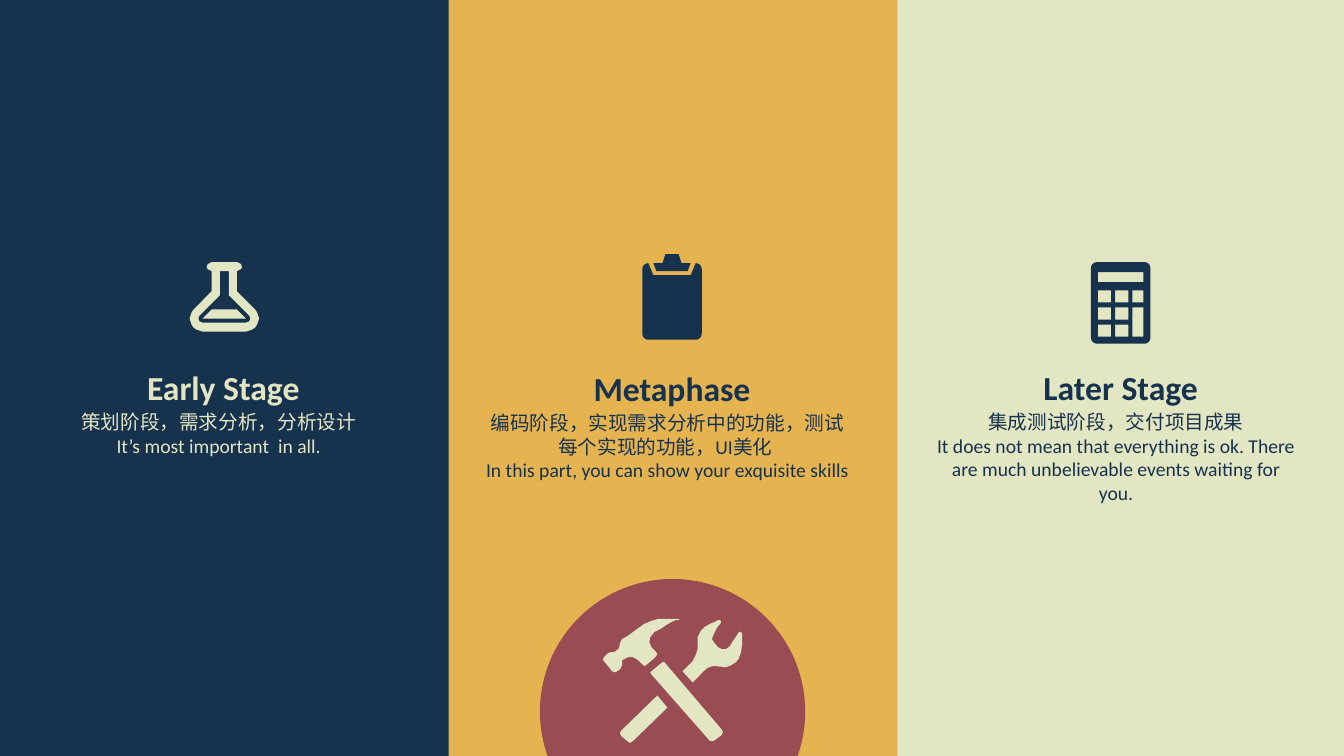
import math
from dataclasses import dataclass

import pptx
import pptx.dml.color
import pptx.enum.shapes
import pptx.enum.text
import pptx.util

Inches = pptx.util.Inches
SHAPES = pptx.enum.shapes.MSO_SHAPE


@dataclass(frozen=True)
class Theme:
    navy: str = "17324D"
    gold: str = "E5B350"
    cream: str = "E2E6C3"
    wine: str = "994C52"
    font: str = "Calibri"
    title_size: int = 24
    body_size: int = 14
    outline: float = 2.25


THEME = Theme()
PANEL_WIDTH = 4.45

WRENCH_HANDLE = [
    (6.52, 6.9), (6.62, 7.02), (6.28, 7.35), (6.25, 7.37), (6.23, 7.36),
    (6.16, 7.3), (6.15, 7.27), (6.16, 7.25),
]
HAMMER_HANDLE = [
    (6.57, 6.57), (6.59, 6.57), (7.16, 7.24), (7.17, 7.26), (7.16, 7.29),
    (7.08, 7.35), (7.04, 7.35), (6.46, 6.69), (6.45, 6.67), (6.46, 6.66),
]
WRENCH_HEAD = [
    (7.13, 6.15), (7.15, 6.16), (7.15, 6.18), (7.11, 6.23), (7.08, 6.29),
    (7.06, 6.34), (7.08, 6.37), (7.12, 6.42), (7.16, 6.44), (7.2, 6.44),
    (7.24, 6.41), (7.27, 6.36), (7.31, 6.3), (7.33, 6.27), (7.35, 6.27),
    (7.36, 6.29), (7.36, 6.4), (7.35, 6.47), (7.33, 6.53), (7.3, 6.57),
    (7.25, 6.6), (7.2, 6.62), (7.11, 6.61), (7.06, 6.61), (7.01, 6.63),
    (6.98, 6.66), (6.87, 6.77), (6.77, 6.66), (6.87, 6.56), (6.9, 6.5),
    (6.92, 6.44), (6.92, 6.32), (6.95, 6.26), (6.99, 6.22), (7.04, 6.19),
    (7.09, 6.17),
]
HAMMER_HEAD = [
    (6.56, 6.14), (6.73, 6.14), (6.74, 6.15), (6.71, 6.15), (6.66, 6.17),
    (6.61, 6.2), (6.55, 6.24), (6.49, 6.27), (6.45, 6.32), (6.44, 6.37),
    (6.46, 6.42), (6.5, 6.46), (6.52, 6.49), (6.5, 6.52), (6.42, 6.59),
    (6.39, 6.61), (6.33, 6.55), (6.28, 6.52), (6.23, 6.52), (6.19, 6.54),
    (6.17, 6.55), (6.17, 6.6), (6.15, 6.64), (6.12, 6.66), (6.1, 6.67),
    (6.07, 6.66), (6.04, 6.62), (5.99, 6.56), (5.98, 6.54), (5.99, 6.52),
    (6.03, 6.48), (6.06, 6.47), (6.09, 6.47), (6.12, 6.45), (6.14, 6.43),
    (6.15, 6.38), (6.17, 6.34), (6.21, 6.32), (6.32, 6.24), (6.39, 6.19),
    (6.46, 6.16), (6.53, 6.14),
]


def rgb(color):
    return pptx.dml.color.RGBColor.from_string(color)


def paint(shape, color):
    shape.shadow.inherit = False
    shape.fill.solid()
    shape.fill.fore_color.rgb = rgb(color)
    shape.line.fill.background()


def add_preset(shapes, kind, box, color):
    shape = shapes.add_shape(kind, *map(Inches, box))
    paint(shape, color)
    return shape


def add_outline(shapes, contours, color):
    builder = None
    for contour in contours:
        points = [(Inches(x), Inches(y)) for x, y in contour]
        if builder is None:
            builder = shapes.build_freeform(*points[0], scale=1.0)
        else:
            builder.move_to(*points[0])
        builder.add_line_segments(points[1:], close=True)
    paint(builder.convert_to_shape(), color)


def add_text(shapes, box, lines, color, size, bold=False):
    frame = shapes.add_textbox(*map(Inches, box)).text_frame
    frame.word_wrap = True
    frame.auto_size = pptx.enum.text.MSO_AUTO_SIZE.SHAPE_TO_FIT_TEXT
    font_format = {"name": THEME.font, "size": pptx.util.Pt(size), "bold": bold}
    for index, line in enumerate(lines):
        paragraph = frame.add_paragraph() if index else frame.paragraphs[0]
        paragraph.alignment = pptx.enum.text.PP_ALIGN.CENTER
        run = paragraph.add_run()
        run.text = line
        for name, value in font_format.items():
            setattr(run.font, name, value)
        run.font.color.rgb = rgb(color)


def rectangle(left, top, width, height):
    right, bottom = left + width, top + height
    return [(left, top), (left, bottom), (right, bottom), (right, top)]


def corner(x, y, start, radius=0.06):
    angles = [math.radians(start + step * 22.5) for step in range(5)]
    return [(x + radius * math.cos(a), y + radius * math.sin(a)) for a in angles]


def rounded(left, top, right, bottom, radius=0.06):
    return (
        corner(right - radius, top + radius, 270)
        + corner(right - radius, bottom - radius, 0)
        + corner(left + radius, bottom - radius, 90)
        + corner(left + radius, top + radius, 180)
    )


def mirrored(right_half, axis):
    return right_half + [(2 * axis - x, y) for x, y in reversed(right_half)]


def flask():
    liquid = [(2.35, 3.07), (2.44, 3.16)]
    inside = [
        (2.27, 2.69), (2.27, 2.93), (2.47, 3.13), (2.48, 3.15), (2.48, 3.17),
        (2.47, 3.19), (2.44, 3.2),
    ]
    glass = [
        (2.35, 2.6), (2.37, 2.61), (2.39, 2.62), (2.4, 2.65), (2.39, 2.67),
        (2.37, 2.68), (2.35, 2.69), (2.35, 2.89), (2.53, 3.07), (2.55, 3.1),
        (2.56, 3.13), (2.57, 3.16), (2.56, 3.19), (2.55, 3.22), (2.53, 3.25),
        (2.5, 3.27), (2.47, 3.28), (2.44, 3.29),
    ]
    return [mirrored(half, 2.225) for half in (liquid, inside, glass)]


def clipboard():
    notch = [(6.43, 2.61), (6.48, 2.73), (6.85, 2.73), (6.9, 2.61)]
    clip = [(6.73, 2.52), (6.76, 2.61), (6.85, 2.61), (6.82, 2.69)]
    return [notch + rounded(6.37, 2.61, 6.96, 3.37), mirrored(clip, 6.665)]


def calculator():
    left, top, pitch = 10.89, 2.88, 0.17
    keys = [
        rectangle(left + column * pitch, top + row * pitch, 0.13, 0.12)
        for row in range(3)
        for column in range(2)
    ]
    last_column = left + 2 * pitch
    return keys + [
        rectangle(last_column, top, 0.11, 0.12),
        rectangle(last_column, top + pitch, 0.11, 0.29),
        rectangle(left, 2.7, 0.45, 0.1),
        rounded(10.82, 2.6, 11.41, 3.41),
    ]


def add_stage(slide, column, title, lines, icon, background, ink, title_top=3.59):
    shapes = slide.shapes.add_group_shape().shapes
    left = column * PANEL_WIDTH
    text_left = left + 0.26
    add_preset(shapes, SHAPES.RECTANGLE, (left, 0, PANEL_WIDTH, 7.5), background)
    add_text(shapes, (text_left, title_top, 3.91, 0.5), [title], ink, THEME.title_size, True)
    body_height = 0.57 if column == 0 else 0.81
    add_text(shapes, (text_left, title_top + 0.43, 3.82, body_height), lines, ink, THEME.body_size)
    add_outline(shapes, icon, ink)


def add_tools_badge(slide):
    box = (5.37, 5.76, 2.6, 2.6)
    disc, rim = [add_preset(slide.shapes, SHAPES.CHORD, box, THEME.wine) for _ in range(2)]
    disc.rotation = rim.rotation = 112.5
    rim.fill.background()
    rim.line.color.rgb = rgb(THEME.wine)
    rim.line.width = pptx.util.Pt(THEME.outline)
    tools = [WRENCH_HANDLE, HAMMER_HANDLE, WRENCH_HEAD, HAMMER_HEAD]
    add_outline(slide.shapes, tools, THEME.cream)


def main():
    presentation = pptx.Presentation()
    presentation.slide_width = Inches(13.33)
    presentation.slide_height = Inches(7.5)
    slide = presentation.slides.add_slide(presentation.slide_layouts[6])
    slide.background.fill.solid()
    slide.background.fill.fore_color.rgb = rgb(THEME.gold)
    add_stage(slide, 2, "Later Stage", [
        "集成测试阶段，交付项目成果",
        "It does not mean that everything is ok. There are much unbelievable events waiting for you.",
    ], calculator(), THEME.cream, THEME.navy)
    add_stage(slide, 1, "Metaphase", [
        "编码阶段，实现需求分析中的功能，测试每个实现的功能，UI美化 ",
        "In this part, you can show your exquisite skills",
    ], clipboard(), THEME.gold, THEME.navy, title_top=3.6)
    add_stage(slide, 0, "Early Stage", [
        "策划阶段，需求分析，分析设计",
        "It’s most important  in all.",
    ], flask(), THEME.navy, THEME.cream)
    add_tools_badge(slide)
    presentation.save("out.pptx")


if __name__ == "__main__":
    main()
